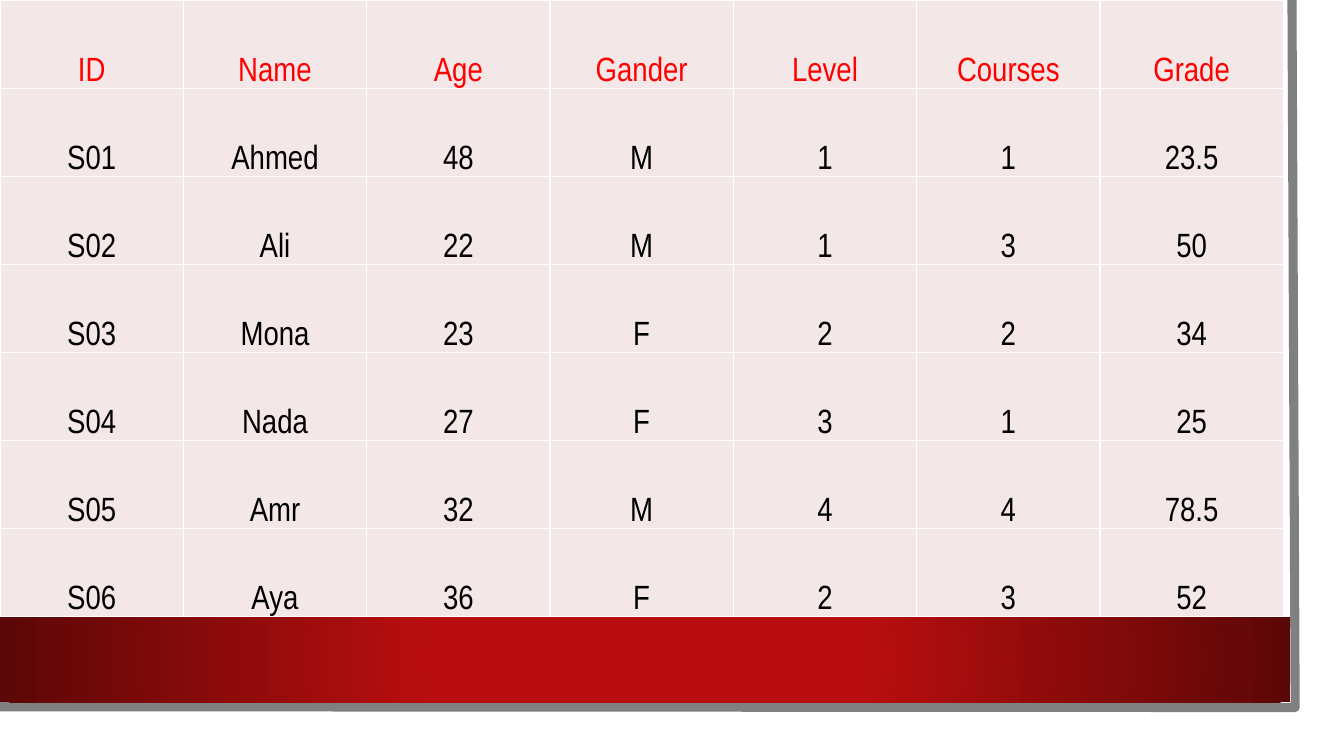
from lxml import etree
from pptx import Presentation
from pptx.dml.color import RGBColor
from pptx.enum.shapes import MSO_SHAPE
from pptx.enum.text import MSO_ANCHOR, PP_ALIGN
from pptx.oxml.ns import qn
from pptx.util import Cm, Pt

RECTANGLE = MSO_SHAPE.RECTANGLE
BOTTOM = MSO_ANCHOR.BOTTOM
CENTER = PP_ALIGN.CENTER

WHITE = RGBColor(0xFF, 0xFF, 0xFF)
BLACK = RGBColor(0x00, 0x00, 0x00)
HEADER_RED = RGBColor(0xFF, 0x00, 0x00)
CELL_PINK = RGBColor(0xF3, 0xE7, 0xE7)
FRAME_GRAY = RGBColor(0x80, 0x80, 0x80)
BAND_RED = RGBColor(0xB8, 0x0E, 0x0F)
BAND_DARK = RGBColor(0x5C, 0x07, 0x07)

COLUMN_WIDTH = Cm(4.62)
ROW_HEIGHT = Cm(2.22)
FRAME_POINTS = [(32.56, 0), (32.64, 17.83), (-0.08, 17.81)]
BAND_STOPS = [(0.34, BAND_RED), (1, BAND_DARK)]
CELL_FORMAT = {
    "vertical_anchor": BOTTOM,
    "margin_left": Cm(0.03),
    "margin_top": Cm(0.03),
    "margin_right": Cm(0.03),
    "margin_bottom": 0,
}
FONT_FORMAT = {"name": "Arial Narrow", "size": Pt(24), "bold": False}

STUDENTS = [
    ["ID", "Name", "Age", "Gander", "Level", "Courses", "Grade"],
    ["S01", "Ahmed", "48", "M", "1", "1", "23.5"],
    ["S02", "Ali", "22", "M", "1", "3", "50"],
    ["S03", "Mona", "23", "F", "2", "2", "34"],
    ["S04", "Nada", "27", "F", "3", "1", "25"],
    ["S05", "Amr", "32", "M", "4", "4", "78.5"],
    ["S06", "Aya", "36", "F", "2", "3", "52"],
]


def apply_format(target, values):
    for attribute, value in values.items():
        setattr(target, attribute, value)


def add_rectangle(slide, top, width, height):
    rectangle = slide.shapes.add_shape(RECTANGLE, 0, top, width, height)
    rectangle.shadow.inherit = False
    rectangle.line.fill.background()
    return rectangle


def add_panel(slide):
    panel = add_rectangle(slide, 0, Cm(33.27), Cm(18.47))
    panel.fill.solid()
    panel.fill.fore_color.rgb = WHITE


def add_frame(slide):
    start, *corners = [(Cm(x), Cm(y)) for x, y in FRAME_POINTS]
    outline = slide.shapes.build_freeform(*start)
    outline.add_line_segments(corners, close=False)
    frame = outline.convert_to_shape()
    frame.shadow.inherit = False
    frame.fill.background()
    frame.line.color.rgb = FRAME_GRAY
    frame.line.width = Pt(6.5)


def add_band(slide):
    band = add_rectangle(slide, Cm(15.54), Cm(32.51), Cm(2.16))
    band.fill.gradient()
    for stop, (position, color) in zip(band.fill.gradient_stops, BAND_STOPS):
        stop.position = position
        stop.color.rgb = color
    gradient = band._element.spPr.find(qn("a:gradFill"))
    gradient.remove(gradient.find(qn("a:lin")))
    circle = etree.SubElement(gradient, qn("a:path"), path="circle")
    etree.SubElement(circle, qn("a:fillToRect"), l="50000", t="50000", r="50000", b="50000")


def add_cell_borders(cell):
    properties = cell._tc.get_or_add_tcPr()
    for index, side in enumerate(("a:lnL", "a:lnR", "a:lnT", "a:lnB")):
        border = etree.Element(qn(side), w=str(Pt(1)))
        fill = etree.SubElement(border, qn("a:solidFill"))
        etree.SubElement(fill, qn("a:srgbClr"), val=str(WHITE))
        properties.insert(index, border)


def fill_cell(cell, text, color):
    apply_format(cell, CELL_FORMAT)
    cell.fill.solid()
    cell.fill.fore_color.rgb = CELL_PINK
    add_cell_borders(cell)
    paragraph = cell.text_frame.paragraphs[0]
    paragraph.alignment = CENTER
    run = paragraph.add_run()
    run.text = text
    apply_format(run.font, FONT_FORMAT)
    run.font.color.rgb = color


def add_student_table(slide):
    row_count, column_count = len(STUDENTS), len(STUDENTS[0])
    table = slide.shapes.add_table(
        row_count, column_count, 0, 0,
        COLUMN_WIDTH * column_count, ROW_HEIGHT * row_count,
    ).table
    apply_format(table, {"first_row": False, "horz_banding": False})
    for column in table.columns:
        column.width = COLUMN_WIDTH
    for row_index, student in enumerate(STUDENTS):
        table.rows[row_index].height = ROW_HEIGHT
        color = BLACK if row_index else HEADER_RED
        for column_index, text in enumerate(student):
            fill_cell(table.cell(row_index, column_index), text, color)


def main():
    presentation = Presentation()
    presentation.slide_width = Cm(33.87)
    presentation.slide_height = Cm(19.05)
    slide = presentation.slides.add_slide(presentation.slide_layouts[6])
    add_panel(slide)
    add_frame(slide)
    add_band(slide)
    add_student_table(slide)
    presentation.save("out.pptx")


if __name__ == "__main__":
    main()
